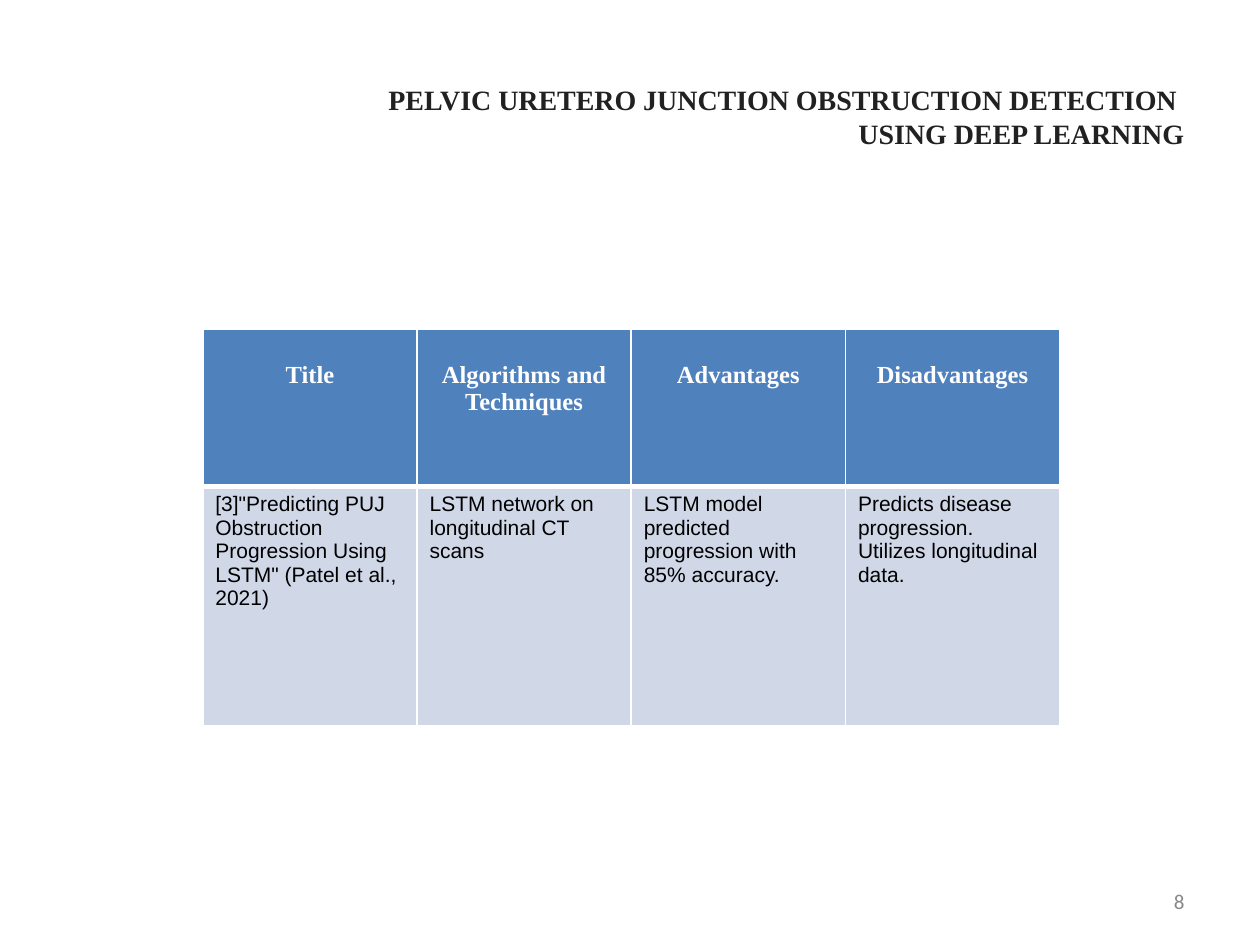
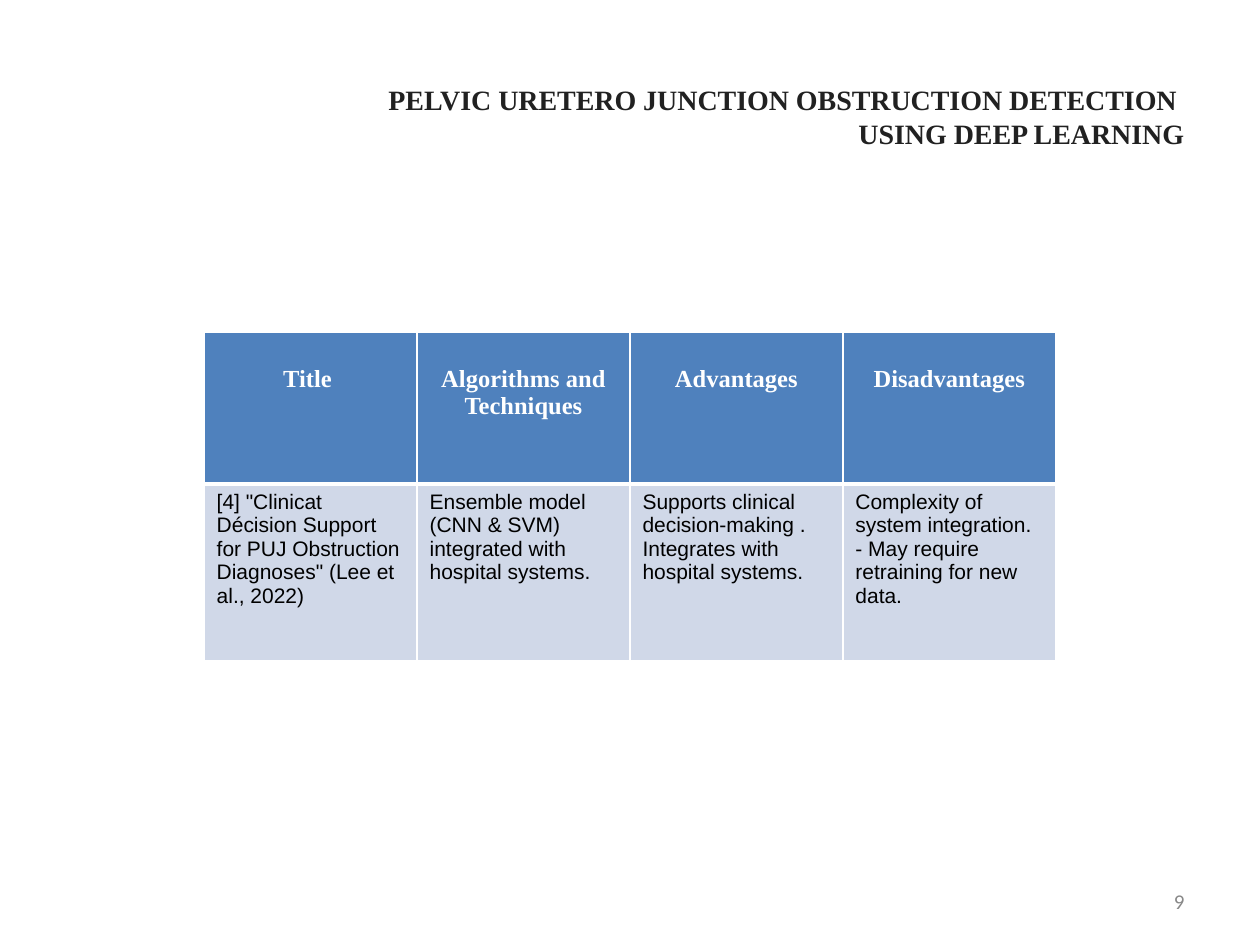
"""Builds the literature survey slides, one reviewed paper per table."""
from dataclasses import dataclass

from lxml.etree import SubElement
from pptx import Presentation
from pptx.dml.color import RGBColor
from pptx.enum.text import MSO_ANCHOR, PP_ALIGN
from pptx.oxml.ns import qn
from pptx.util import Inches, Pt

WHITE = RGBColor(0xFF, 0xFF, 0xFF)
BLACK = RGBColor(0x00, 0x00, 0x00)
TITLE_INK = RGBColor(0x21, 0x21, 0x21)
NUMBER_GREY = RGBColor(0x88, 0x88, 0x88)
HEADER_BLUE = RGBColor(0x4F, 0x81, 0xBD)
BODY_BLUE = RGBColor(0xD0, 0xD8, 0xE8)

TITLE_FONT = {"name": "Times New Roman", "size": Pt(16), "bold": True}
HEADER_FONT = {"name": "Times New Roman", "size": Pt(14), "bold": True}
BODY_FONT = {"name": "Arial", "size": Pt(12), "bold": False}
NUMBER_FONT = {"name": "Calibri", "size": Pt(12)}

PROJECT_TITLE = "PELVIC URETERO JUNCTION OBSTRUCTION DETECTION \vUSING DEEP LEARNING"
COLUMN_HEADS = ("Algorithms and Techniques", "Advantages", "Disadvantages")
THIN, THICK = Pt(1), Pt(3)


@dataclass(frozen=True)
class Survey:
    number: int
    left: float
    top: float
    column_width: float
    row_heights: tuple[float, float]
    first_head: str
    findings: tuple[str, str, str, str]


SURVEYS = (
    Survey(8, 1.61, 2.61, 1.7, (1.25, 1.9), "Title", (
        '[3]"Predicting PUJ Obstruction Progression Using LSTM" (Patel et al., 2021)',
        "LSTM network on longitudinal CT scans",
        "LSTM model predicted progression with 85% accuracy.",
        "Predicts disease progression. Utilizes longitudinal data.",
    )),
    Survey(9, 1.62, 2.64, 1.69, (1.2, 1.4), "Title ", (
        '[4] "Clinicat Décision Support for PUJ Obstruction Diagnoses" (Lee et al., 2022)',
        "Ensemble model (CNN & SVM) integrated with hospital systems.",
        "Supports clinical decision-making . Integrates with hospital systems.",
        "Complexity of system integration. - May require retraining for new data.",
    )),
)


def style_paragraph(paragraph, font: dict, color: RGBColor, align: PP_ALIGN) -> None:
    paragraph.alignment = align
    for run in paragraph.runs:
        for attribute, value in font.items():
            setattr(run.font, attribute, value)
        run.font.color.rgb = color


def add_title(slide) -> None:
    title = slide.shapes.title
    title.left, title.top = Inches(0.5), Inches(0.3)
    title.width, title.height = Inches(9), Inches(1.25)
    frame = title.text_frame
    frame.text = PROJECT_TITLE
    frame.vertical_anchor = MSO_ANCHOR.MIDDLE
    heading = frame.paragraphs[0]
    style_paragraph(heading, TITLE_FONT, TITLE_INK, PP_ALIGN.RIGHT)
    line_break = heading._p.find(qn("a:br"))
    SubElement(line_break, qn("a:rPr"), sz="1600")


def add_number(slide, number: int) -> None:
    box = slide.shapes.add_textbox(Inches(7.17), Inches(6.95), Inches(2.33), Inches(0.4))
    frame = box.text_frame
    frame.word_wrap = True
    frame.vertical_anchor = MSO_ANCHOR.MIDDLE
    frame.text = str(number)
    style_paragraph(frame.paragraphs[0], NUMBER_FONT, NUMBER_GREY, PP_ALIGN.RIGHT)


def set_borders(cell, top: int, bottom: int) -> None:
    properties = cell._tc.get_or_add_tcPr()
    for side, width in {"lnL": THIN, "lnR": THIN, "lnT": top, "lnB": bottom}.items():
        line = SubElement(properties, qn(f"a:{side}"), w=str(int(width)))
        fill = SubElement(line, qn("a:solidFill"))
        SubElement(fill, qn("a:srgbClr"), val=str(WHITE))


def fill_cell(cell, text: str, is_header: bool) -> None:
    cell.text = text
    paragraph = cell.text_frame.paragraphs[0]
    if is_header:
        set_borders(cell, THIN, THICK)
        cell.margin_top = Inches(0.26)
        style_paragraph(paragraph, HEADER_FONT, WHITE, PP_ALIGN.CENTER)
    else:
        set_borders(cell, THICK, THIN)
        style_paragraph(paragraph, BODY_FONT, BLACK, PP_ALIGN.LEFT)
    cell.fill.solid()
    cell.fill.fore_color.rgb = HEADER_BLUE if is_header else BODY_BLUE


def add_survey_table(slide, survey: Survey) -> None:
    rows = ((survey.first_head, *COLUMN_HEADS), survey.findings)
    columns = len(survey.findings)
    table = slide.shapes.add_table(
        len(rows), columns, Inches(survey.left), Inches(survey.top),
        Inches(survey.column_width * columns), Inches(sum(survey.row_heights)),
    ).table
    for column in table.columns:
        column.width = Inches(survey.column_width)
    for index, (texts, height) in enumerate(zip(rows, survey.row_heights)):
        table.rows[index].height = Inches(height)
        for cell, text in zip(table.rows[index].cells, texts):
            fill_cell(cell, text, is_header=index == 0)


def main() -> None:
    presentation = Presentation()
    presentation.slide_width, presentation.slide_height = Inches(10), Inches(7.5)
    for survey in SURVEYS:
        slide = presentation.slides.add_slide(presentation.slide_layouts[5])
        add_title(slide)
        add_number(slide, survey.number)
        add_survey_table(slide, survey)
    presentation.save("out.pptx")


if __name__ == "__main__":
    main()
